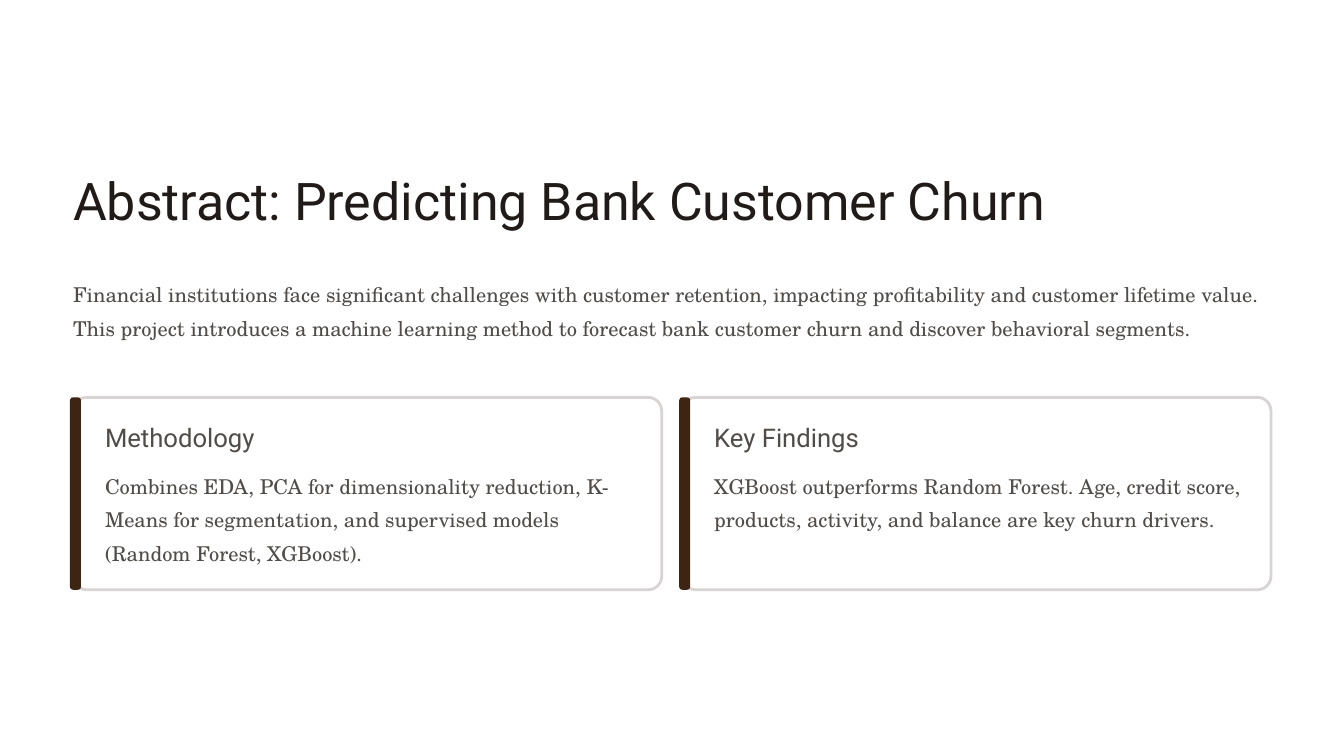
from dataclasses import dataclass

from pptx import Presentation
from pptx.dml.color import RGBColor
from pptx.enum.shapes import MSO_SHAPE
from pptx.enum.text import MSO_ANCHOR, MSO_AUTO_SIZE, PP_ALIGN
from pptx.util import Pt


@dataclass(frozen=True)
class Theme:
    heading_font: str = "Roboto"
    body_font: str = "TeX Gyre Schola"
    ink: str = "201B18"
    soft_ink: str = "504C49"
    paper: str = "FFFFFF"
    border: str = "D8D4D4"
    accent: str = "3E2513"
    title_size: float = 44.5
    heading_size: float = 22
    body_size: float = 17.5
    title_leading: float = 55.5
    heading_leading: float = 27.5
    body_leading: float = 28.5


def write_text(frame, text, *, font, size, color, leading):
    frame.margin_left = frame.margin_right = 0
    frame.margin_top = frame.margin_bottom = 0
    frame.word_wrap = True
    frame.auto_size = MSO_AUTO_SIZE.NONE
    frame.vertical_anchor = MSO_ANCHOR.TOP
    paragraph = frame.paragraphs[0]
    paragraph.alignment = PP_ALIGN.LEFT
    paragraph.line_spacing = Pt(leading)
    paragraph.space_before = Pt(0)
    run = paragraph.add_run()
    run.text = text
    run.font.name = font
    run.font.size = Pt(size)
    run.font.color.rgb = RGBColor.from_string(color)


class SlideBuilder:
    def __init__(self, slide, theme):
        self.slide = slide
        self.theme = theme

    def title(self, text, left, top, width, height):
        theme = self.theme
        title = self.slide.shapes.title
        title.left, title.top = Pt(left), Pt(top)
        title.width, title.height = Pt(width), Pt(height)
        write_text(title.text_frame, text, font=theme.heading_font, size=theme.title_size,
                   color=theme.ink, leading=theme.title_leading)

    def heading(self, text, left, top, width, height):
        theme = self.theme
        heading = self.slide.shapes.add_textbox(Pt(left), Pt(top), Pt(width), Pt(height))
        write_text(heading.text_frame, text, font=theme.heading_font, size=theme.heading_size,
                   color=theme.soft_ink, leading=theme.heading_leading)

    def body(self, text, left, top, width, height):
        theme = self.theme
        body = self.slide.shapes.add_textbox(Pt(left), Pt(top), Pt(width), Pt(height))
        write_text(body.text_frame, text, font=theme.body_font, size=theme.body_size,
                   color=theme.soft_ink, leading=theme.body_leading)

    def panel(self, left, top, width, height, *, rounding, fill, border=None):
        panel = self.slide.shapes.add_shape(
            MSO_SHAPE.ROUNDED_RECTANGLE, Pt(left), Pt(top), Pt(width), Pt(height))
        panel.shadow.inherit = False
        panel.adjustments[0] = rounding
        panel.fill.solid()
        panel.fill.fore_color.rgb = RGBColor.from_string(fill)
        if border:
            panel.line.color.rgb = RGBColor.from_string(border)
            panel.line.width = Pt(2.4)
        else:
            panel.line.fill.background()

    def card(self, heading, finding, left, top, width, height):
        theme = self.theme
        self.panel(left, top, width, height, rounding=0.07, fill=theme.paper, border=theme.border)
        self.panel(left - 2.6, top, 9.4, height, rounding=0.28, fill=theme.accent)
        self.heading(heading, left + 27.4, top + 20.2, 223, 28)
        self.body(finding, left + 27.4, top + 58.3, 457.2, 85.7)


def main():
    presentation = Presentation()
    presentation.slide_width, presentation.slide_height = Pt(1152), Pt(648)
    slide = presentation.slides.add_slide(presentation.slide_layouts[5])
    builder = SlideBuilder(slide, Theme())
    margin, content_width = 62.6, 1026.8

    # Title and introduction
    builder.title("Abstract: Predicting Bank Customer Churn", margin, 142.6, 941, 56.2)
    builder.body(
        "Financial institutions face significant challenges with customer retention, "
        "impacting profitability and customer lifetime value. This project introduces "
        "a machine learning method to forecast bank customer churn and discover "
        "behavioral segments.",
        margin, 234.7, content_width, 85.7)

    # Cards in two equal columns
    cards = [
        ("Methodology",
         "Combines EDA, PCA for dimensionality reduction, K-Means for segmentation, "
         "and supervised models (Random Forest, XGBoost)."),
        ("Key Findings",
         "XGBoost outperforms Random Forest. Age, credit score, products, activity, "
         "and balance are key churn drivers."),
    ]
    gap = 17.6
    card_width = (content_width - gap) / len(cards)
    for column, (heading, finding) in enumerate(cards):
        left = margin + column * (card_width + gap)
        builder.card(heading, finding, left, 340.6, card_width, 164.9)

    presentation.save("out.pptx")


if __name__ == "__main__":
    main()
